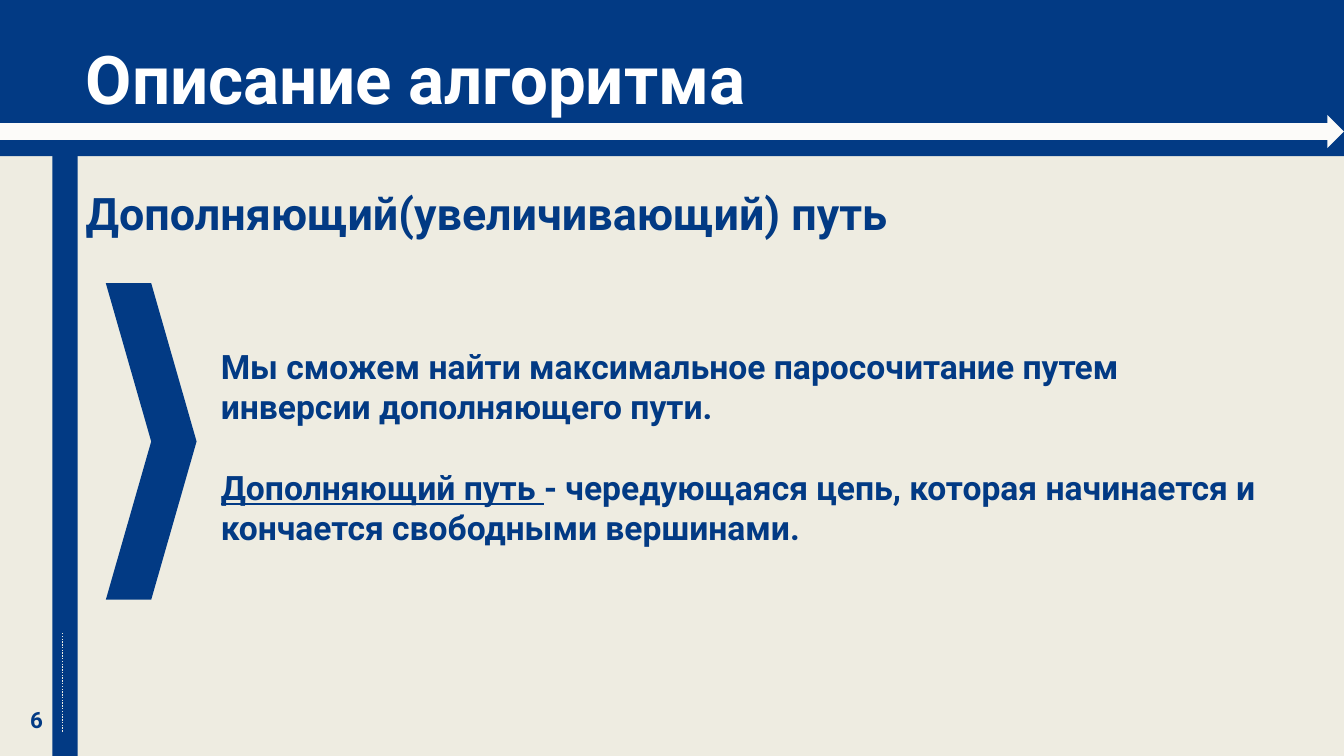
from pptx import Presentation
from pptx.dml.color import RGBColor as RGB
from pptx.enum.dml import MSO_LINE_DASH_STYLE as DASH
from pptx.enum.shapes import MSO_CONNECTOR as CONN, MSO_SHAPE as SHAPE
from pptx.enum.text import MSO_ANCHOR as ANCHOR, MSO_AUTO_SIZE as AUTO, PP_ALIGN as ALIGN
from pptx.oxml.ns import qn
from pptx.util import Inches, Pt
from lxml import etree

W, H = 13.33, 7.5
COLORS = {"navy": "023A84", "cream": "EEECE1", "white": "FFFFFF", "arrow": "FCFBF9"}


def color(name):
    return RGB.from_string(COLORS[name])


class Deck:
    """Slide style and the current slide."""

    font = "Roboto"

    def __init__(self, prs, layout):
        self.s = prs.slides.add_slide(layout)
        fill = self.s.background.fill
        fill.solid()
        fill.fore_color.rgb = color("cream")

    def shape(self, kind, box, fill):
        sp = self.s.shapes.add_shape(kind, *map(Inches, box))
        sp.shadow.inherit = False
        sp.fill.solid()
        sp.fill.fore_color.rgb = color(fill)
        sp.line.fill.background()
        return sp

    def dotted_line(self, x, top, bottom):
        ln = self.s.shapes.add_connector(
            CONN.STRAIGHT, Inches(x), Inches(top), Inches(x), Inches(bottom))
        ln.line.color.rgb = color("cream")
        ln.line.width = Pt(1)
        ln.line.dash_style = DASH.ROUND_DOT
        etree.SubElement(ln.element.spPr, qn("a:effectLst"))

    def format_text(self, sp, size, fill="navy"):
        tf = sp.text_frame
        tf.word_wrap = True
        tf.auto_size = AUTO.NONE
        tf.vertical_anchor = ANCHOR.TOP
        for p in tf.paragraphs:
            p.alignment = ALIGN.LEFT
            p.space_before = Pt(0)
            for r in p.runs:
                r.font.name = self.font
                r.font.size = Pt(size)
                r.font.bold = True
                r.font.color.rgb = color(fill)

    def textbox(self, box, text, size):
        sp = self.s.shapes.add_textbox(*map(Inches, box))
        sp.text_frame.text = text
        self.format_text(sp, size)

    def place(self, sp, box):
        """Position a placeholder and bring it to the front."""
        sp.left, sp.top, sp.width, sp.height = map(Inches, box)
        sp.element.getparent().append(sp.element)

    def title(self, box, text, size):
        sp = self.s.shapes.title
        self.place(sp, box)
        sp.text_frame.text = text
        self.format_text(sp, size, "white")

    def body(self, box, paragraphs, size, gap):
        """Each paragraph is a list of (text, underlined) runs."""
        sp = self.s.placeholders[1]
        self.place(sp, box)
        tf = sp.text_frame
        for i, runs in enumerate(paragraphs):
            p = tf.add_paragraph() if i else tf.paragraphs[0]
            for text, underlined in runs:
                r = p.add_run()
                r.text = text
                r.font.underline = underlined
        self.format_text(sp, size)
        for i, p in enumerate(tf.paragraphs):
            p.space_before = Pt(gap if i else 0)
            pPr = p._p.get_or_add_pPr()
            pPr.set("marL", "0")
            pPr.set("indent", "0")
            etree.SubElement(pPr, qn("a:buNone"))


def main():
    prs = Presentation()
    prs.slide_width, prs.slide_height = Inches(W), Inches(H)
    deck = Deck(prs, prs.slide_layouts[1])

    # Side bar and header band
    deck.shape(SHAPE.RECTANGLE, (0.52, 0, 0.25, H), "navy")
    deck.shape(SHAPE.RECTANGLE, (0, 0, W, 1.55), "navy")

    # Title and main text
    deck.title((0.75, 0.32, 8.85, 0.91), "Описание алгоритма", 48)
    deck.body((2.09, 3.38, 10.62, 2.12), [
        [("Мы сможем найти максимальное паросочитание путем "
          "инверсии дополняющего пути.", False)],
        [("Дополняющий путь ", True),
         ("- чередующаяся цепь, которая начинается и "
          "кончается свободными вершинами.", False)],
    ], 24, gap=28.8)
    deck.textbox((0.75, 1.79, 12.17, 0.64), "Дополняющий(увеличивающий) путь", 32)

    # Header arrow and chevron marker
    deck.shape(SHAPE.RIGHT_ARROW, (0, 1.14, W, 0.33), "arrow")
    deck.shape(SHAPE.CHEVRON, (1.05, 2.81, 0.9, 3.14), "navy")

    # Page number
    deck.dotted_line(0.62, 6.28, 7.27)
    deck.textbox((0.2, 6.96, 0.37, 0.37), "6", 16)

    prs.save("out.pptx")


if __name__ == "__main__":
    main()
